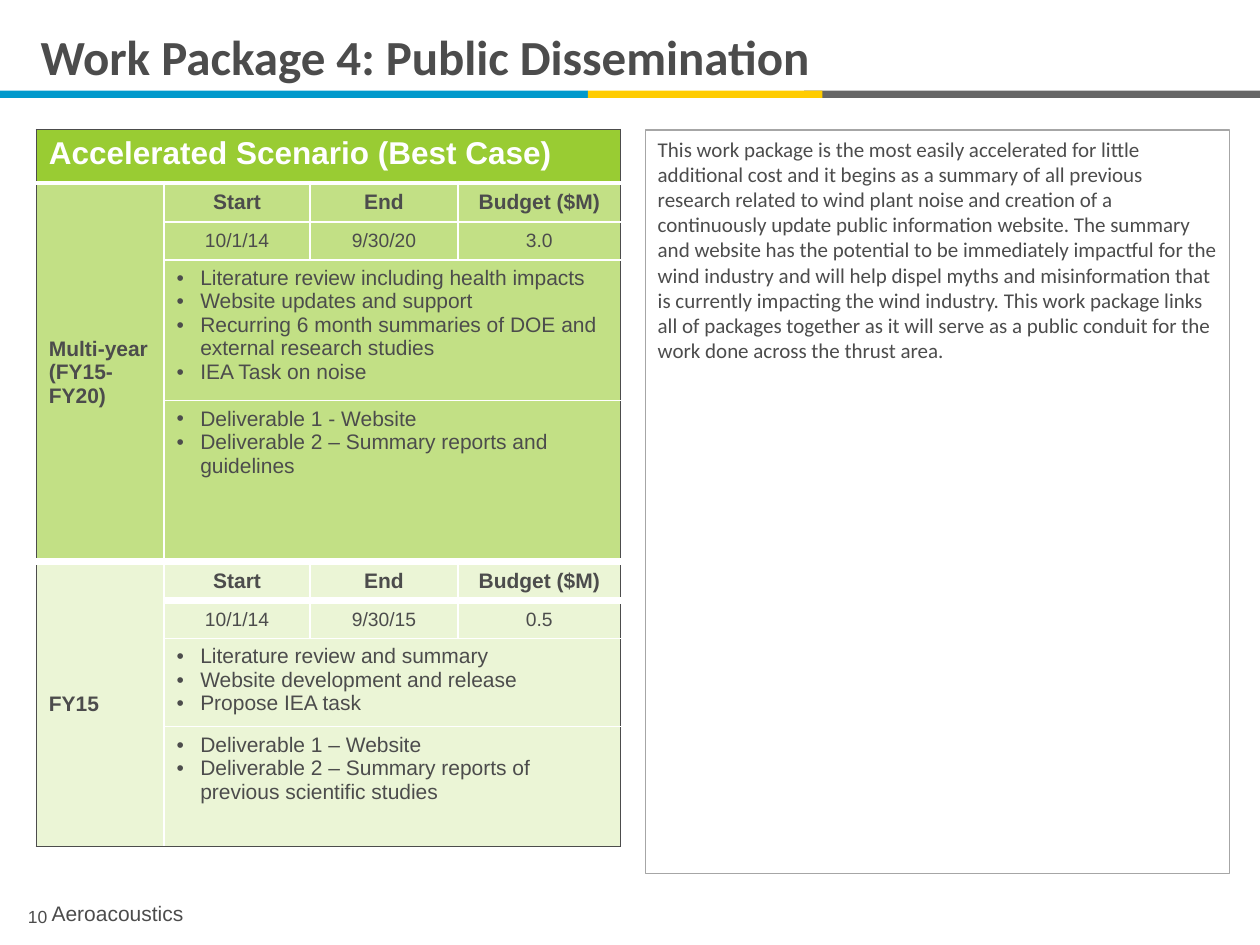
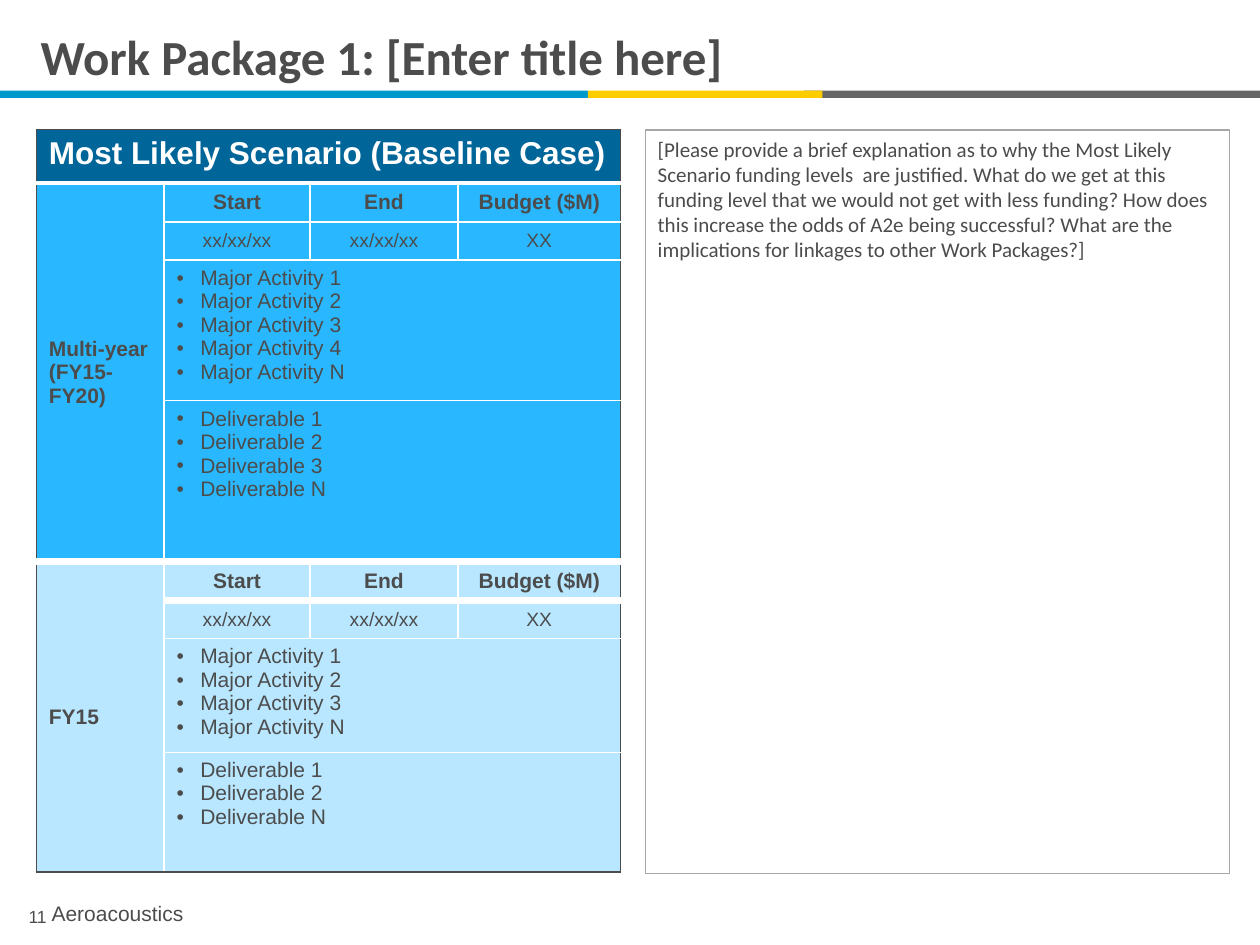
import dataclasses
import itertools

import lxml.etree
import pptx
import pptx.dml.color
import pptx.enum.shapes
import pptx.enum.text
import pptx.oxml.ns
import pptx.util

Pt = pptx.util.Pt
ALIGN = pptx.enum.text.PP_ALIGN
ANCHOR = pptx.enum.text.MSO_ANCHOR
RECT = pptx.enum.shapes.MSO_SHAPE.RECTANGLE


@dataclasses.dataclass(frozen=True)
class Theme:
    ink: str = "4C4C4C"
    white: str = "FFFFFF"
    frame: str = "A6A6A6"
    blue: str = "0099CC"
    gray: str = "666666"
    gold: str = "FFCC00"
    green: tuple = ("99CC33", "C2E085", "EBF5D6")
    navy: tuple = ("006699", "29B8FF", "B8E7FF")
    sans: str = "Arial"
    soft: str = "Calibri"
    title: float = 28
    head: float = 18
    text: float = 12
    data: float = 11
    page: float = 10


COLS = (73, 83.5, 84.5, 93)
ROWS = (30.5, 22.5, 21.5, 80.5, 92, 22.5, 21.5, 40, 68.5)
RULES = (1, 3, 1, 1, 0.5, 4.5, 4.5, 1, 0.5, 1)
HEADS = ("Start", "End", "Budget ($M)")


def color(code):
    return pptx.dml.color.RGBColor.from_string(code)


def node(parent, tag, **attrs):
    return lxml.etree.SubElement(parent, pptx.oxml.ns.qn(tag), attrs)


class Deck:
    def __init__(self, theme):
        self.theme = theme
        self.show = pptx.Presentation()
        self.show.slide_width, self.show.slide_height = Pt(720), Pt(540)
        self.slide = None

    def words(self, frame, lines, size, font=None, ink=None, bold=False, align=ALIGN.LEFT):
        frame.word_wrap = True
        for num, line in enumerate(lines):
            para = frame.paragraphs[0] if num == 0 else frame.add_paragraph()
            para.text = line
            para.alignment = align
            for run in para.runs:
                run.font.name = font or self.theme.sans
                run.font.size = Pt(size)
                run.font.bold = bold
                run.font.color.rgb = color(ink or self.theme.ink)

    def page(self, title, number):
        self.slide = self.show.slides.add_slide(self.show.slide_layouts[5])
        self.band(0, 336, self.theme.blue)
        self.band(459.5, 260.5, self.theme.gray)
        self.band(336, 134, self.theme.gold)
        self.title(title)
        self.label((4, 514, 35, 19), number, self.theme.page, ALIGN.CENTER)
        foot = self.label((29.5, 511, 557, 22), "Aeroacoustics", self.theme.text)
        foot.margin_left = foot.margin_right = 0
        foot.vertical_anchor = ANCHOR.MIDDLE

    def box(self, left, top, width, height):
        shape = self.slide.shapes.add_shape(RECT, Pt(left), Pt(top), Pt(width), Pt(height))
        shape.shadow.inherit = False
        return shape

    def band(self, left, width, fill):
        shape = self.box(left, 51.75, width, 4.25)
        shape.fill.solid()
        shape.fill.fore_color.rgb = color(fill)
        shape.line.fill.background()

    def title(self, text):
        shape = self.slide.shapes.title
        shape.left, shape.top, shape.width, shape.height = Pt(16), Pt(0), Pt(687), Pt(64)
        shape.text_frame.vertical_anchor = ANCHOR.MIDDLE
        self.words(shape.text_frame, [text], self.theme.title, self.theme.soft, bold=True)

    def label(self, place, text, size, align=ALIGN.LEFT):
        frame = self.slide.shapes.add_textbox(*map(Pt, place)).text_frame
        self.words(frame, [text], size, align=align)
        return frame

    def note(self, text):
        shape = self.box(368.75, 74.25, 334, 425)
        shape.fill.background()
        shape.line.color.rgb = color(self.theme.frame)
        shape.line.width = Pt(0.75)
        shape.text_frame.vertical_anchor = ANCHOR.TOP
        self.words(shape.text_frame, [text], self.theme.text, self.theme.soft)

    def rule(self, cell, side, width, ink):
        line = node(cell._tc.get_or_add_tcPr(), "a:" + side, w=str(Pt(width)))
        node(node(line, "a:solidFill"), "a:srgbClr", val=ink)

    def block(self, grid, row, col, fill, lines, size, tall=1, wide=1, mid=False, **style):
        cell = grid.cell(row, col)
        end, last = row + tall - 1, col + wide - 1
        if tall * wide > 1:
            cell.merge(grid.cell(end, last))
        self.words(cell.text_frame, lines, size, **style)
        cell.vertical_anchor = ANCHOR.MIDDLE if mid else ANCHOR.TOP
        dark, white = self.theme.ink, self.theme.white
        edges = (
            ("lnL", 1, dark if col == 0 else white),
            ("lnR", 1, dark if last == len(COLS) - 1 else white),
            ("lnT", RULES[row], dark if row == 0 else white),
            ("lnB", RULES[end + 1], dark if end == len(ROWS) - 1 else white),
        )
        for down, over in itertools.product(range(row, end + 1), range(col, last + 1)):
            part = grid.cell(down, over)
            outer = {"lnL": over == col, "lnR": over == last, "lnT": down == row, "lnB": down == end}
            for side, width, ink in edges:
                if outer[side] or (down, over) == (row, col):
                    self.rule(part, side, width, ink)
            part.fill.solid()
            part.fill.fore_color.rgb = color(fill)
        return cell

    def bullets(self, grid, row, fill, lines):
        cell = self.block(grid, row, 1, fill, lines, self.theme.text, wide=3)
        for para in cell.text_frame.paragraphs:
            props = para._p.get_or_add_pPr()
            props.set("marL", str(Pt(13.5)))
            props.set("indent", str(-Pt(13.5)))
            node(props, "a:buFont", typeface=self.theme.sans)
            node(props, "a:buChar", char="•")

    def plan(self, head, fills, parts):
        frame = self.slide.shapes.add_table(
            len(ROWS), len(COLS), Pt(20.75), Pt(74), Pt(sum(COLS)), Pt(sum(ROWS)))
        grid = frame.table
        grid.first_row = grid.horz_banding = False
        for col, width in zip(grid.columns, COLS):
            col.width = Pt(width)
        for row, height in zip(grid.rows, ROWS):
            row.height = Pt(height)
        look = self.theme
        self.block(grid, 0, 0, fills[0], [head], look.head, wide=4, ink=look.white, bold=True)
        for top, fill, (name, facts, tasks, goods) in zip((1, 5), fills[1:], parts):
            self.block(grid, top, 0, fill, [name], look.text, tall=4, mid=True, bold=True)
            for col, (label, fact) in enumerate(zip(HEADS, facts), 1):
                self.block(grid, top, col, fill, [label], look.text,
                           mid=True, bold=True, align=ALIGN.CENTER)
                self.block(grid, top + 1, col, fill, [fact], look.data,
                           mid=True, align=ALIGN.CENTER)
            self.bullets(grid, top + 2, fill, tasks)
            self.bullets(grid, top + 3, fill, goods)


def series(name, marks):
    return [f"{name} {mark}" for mark in marks]


def main():
    theme = Theme()
    deck = Deck(theme)
    span = "Multi-year (FY15-FY20)"

    deck.page("Work Package 4: Public Dissemination", "10")
    deck.plan("Accelerated Scenario (Best Case)", theme.green, (
        (span, ("10/1/14", "9/30/20", "3.0"),
         ("Literature review including health impacts",
          "Website updates and support",
          "Recurring 6 month summaries of DOE and external research studies",
          "IEA Task on noise"),
         ("Deliverable 1 - Website",
          "Deliverable 2 – Summary reports and guidelines")),
        ("FY15", ("10/1/14", "9/30/15", "0.5"),
         ("Literature review and summary",
          "Website development and release",
          "Propose IEA task"),
         ("Deliverable 1 – Website",
          "Deliverable 2 – Summary reports of previous scientific studies")),
    ))
    deck.note(
        "This work package is the most easily accelerated for little additional cost and it "
        "begins as a summary of all previous research related to wind plant noise and creation "
        "of a continuously update public information website. The summary and website has the "
        "potential to be immediately impactful for the wind industry and will help dispel myths "
        "and misinformation that is currently impacting the wind industry. This work package "
        "links all of packages together as it will serve as a public conduit for the work done "
        "across the thrust area.")

    deck.page("Work Package 1: [Enter title here]", "11")
    blank = ("xx/xx/xx", "xx/xx/xx", "XX")
    deck.plan("Most Likely Scenario (Baseline Case)", theme.navy, (
        (span, blank, series("Major Activity", "1234N"), series("Deliverable", "123N")),
        ("FY15", blank, series("Major Activity", "123N"), series("Deliverable", "12N")),
    ))
    deck.note(
        "[Please provide a brief explanation as to why the Most Likely Scenario funding levels  "
        "are justified. What do we get at this funding level that we would not get with less "
        "funding? How does this increase the odds of A2e being successful? What are the "
        "implications for linkages to other Work Packages?]")

    deck.show.save("out.pptx")


if __name__ == "__main__":
    main()
